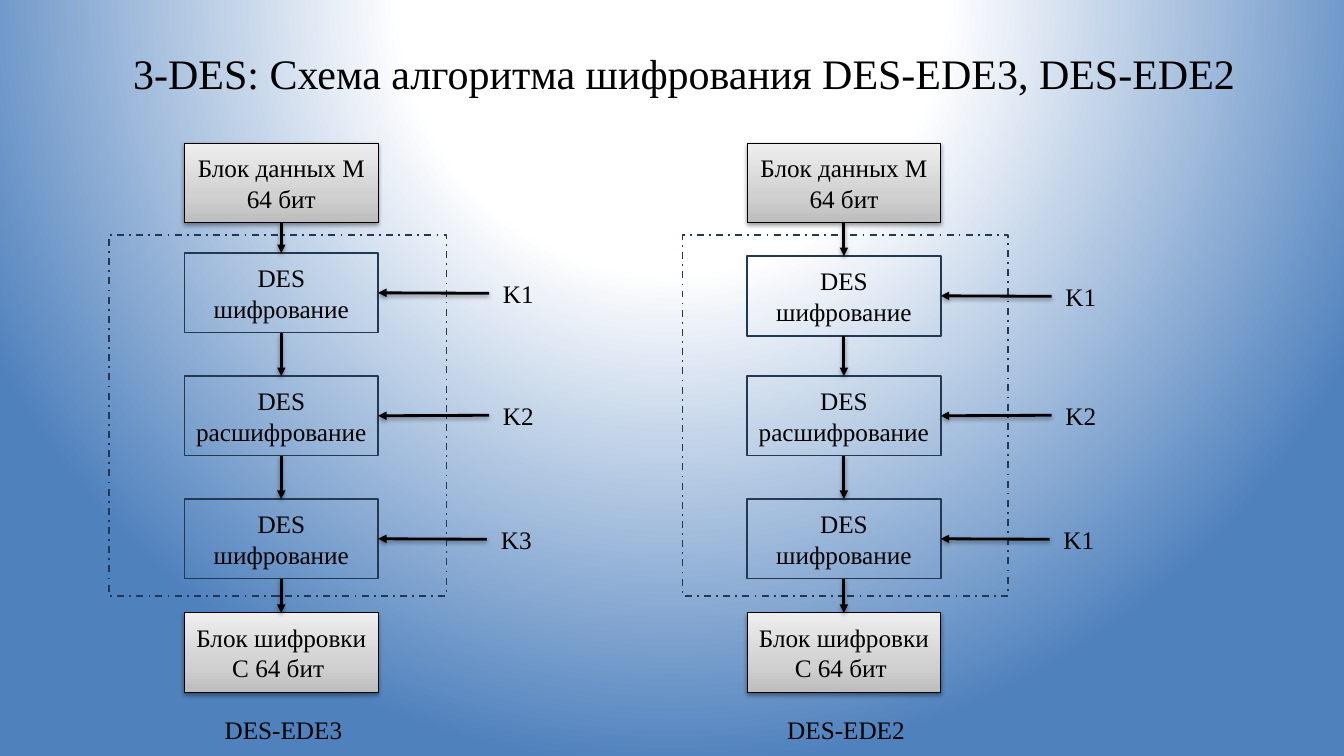
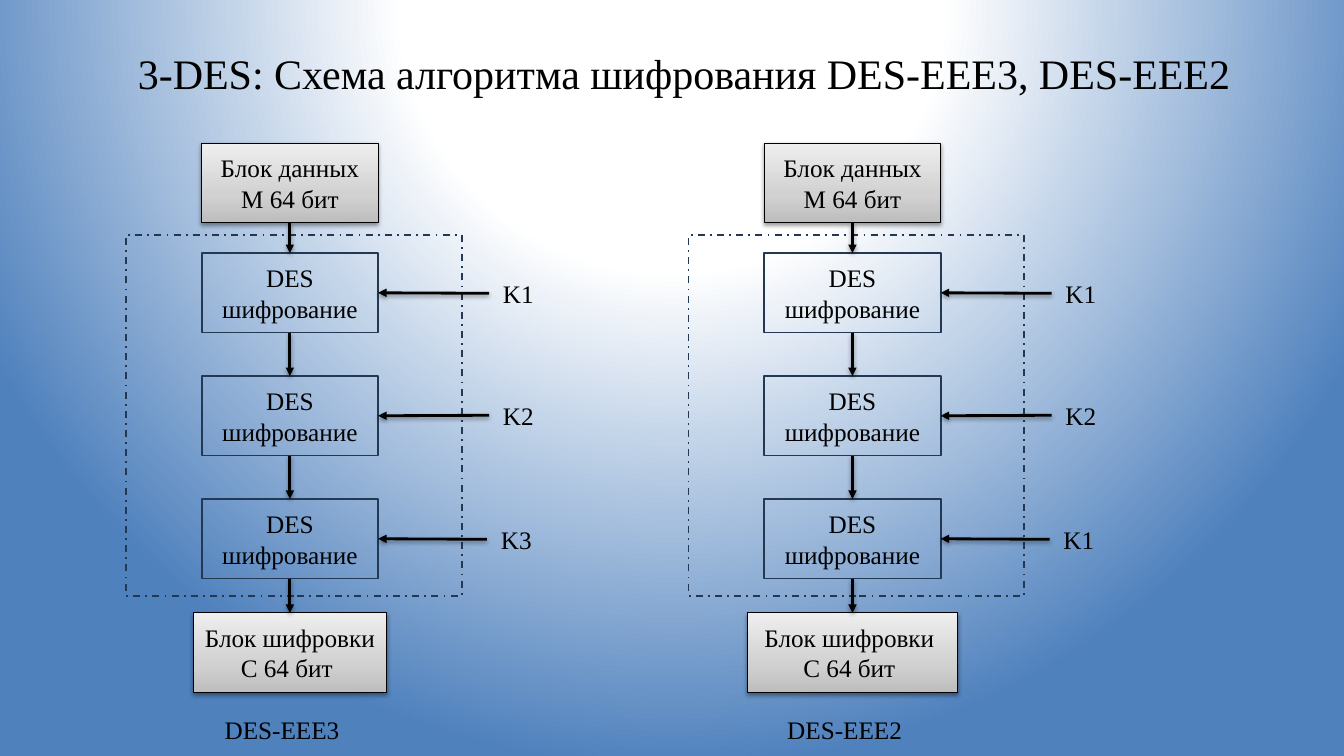
"""Build two slides that compare the triple DES encryption schemes."""
import dataclasses
import typing

import lxml.etree
import pptx
import pptx.dml.color
import pptx.enum.dml
import pptx.enum.shapes
import pptx.enum.text
import pptx.oxml
import pptx.oxml.ns
import pptx.presentation
import pptx.shapes.autoshape
import pptx.slide
import pptx.util

Inches = pptx.util.Inches
Point = tuple[float, float]
Box = tuple[float, float, float, float]
Stops = list[tuple[int, str]]

COLORS = {
    "text": "000000",
    "outline": "233953",
    "white": "FFFFFF",
    "blue": "4F81BD",
    "gray_dark": "BDBDBD",
    "gray": "D1D1D1",
    "gray_light": "EEEEEE",
}
FONT = "Times New Roman"
BACKGROUND_STOPS = [(0, "white"), (35, "white"), (100, "blue")]
BACKGROUND_DIRECTION = (
    '<a:path path="circle">'
    '<a:fillToRect l="50000" t="-80000" r="50000" b="180000"/></a:path>'
)
DATA_STOPS = [(0, "gray_dark"), (35, "gray"), (100, "gray_light")]
DATA_DIRECTION = '<a:lin ang="16200000" scaled="0"/>'

TITLE_BOX = (0.83, 0.46, 11.92, 0.52)
TITLE_FRAME = {
    "margin_left": 0,
    "margin_top": Inches(0.01),
    "margin_right": 0,
    "margin_bottom": 0,
    "word_wrap": True,
    "auto_size": pptx.enum.text.MSO_AUTO_SIZE.SHAPE_TO_FIT_TEXT,
    "vertical_anchor": pptx.enum.text.MSO_ANCHOR.TOP,
}
BLOCK_FRAME = {
    "word_wrap": True,
    "vertical_anchor": pptx.enum.text.MSO_ANCHOR.MIDDLE,
}
LABEL_FRAME = {
    "word_wrap": True,
    "auto_size": pptx.enum.text.MSO_AUTO_SIZE.SHAPE_TO_FIT_TEXT,
}
CENTER = {"alignment": pptx.enum.text.PP_ALIGN.CENTER}
TITLE_PARAGRAPH = {**CENTER, "space_before": pptx.util.Pt(1)}

COLUMN_PITCH = 5.58
BLOCK_HEIGHT = 0.79
BLOCK_RIGHT = 3.75
INPUT_TOP = 1.42
STEP_TOP = 2.51
STEP_PITCH = 1.22
OUTPUT_TOP = 6.08
FRAME_TOP, FRAME_HEIGHT = 2.33, 3.58
KEY_PLACES = [(4.85, 2.71), (4.85, 3.92), (4.83, 5.15)]
KEY_WIDTH, LABEL_HEIGHT = 0.58, 0.4
CAPTION_BOX = (2.13, 7.04, 1.5, LABEL_HEIGHT)

INPUT_LINES = ["Блок данных М 64 бит"]
OUTPUT_LINES = ["Блок шифровки ", "С 64 бит "]
ENCRYPT = "DES шифрование"
DECRYPT = "DES расшифрование"


@dataclasses.dataclass(frozen=True)
class Scheme:
    """One column of blocks; horizontal places are relative to the column."""

    name: str
    steps: list[str]
    keys: list[str]
    block_width: float
    output_width: float
    frame_left: float
    frame_width: float
    first_step_shift: float = 0


@dataclasses.dataclass(frozen=True)
class SchemeSlide:
    """A title and the schemes below it, from left to right."""

    title: str
    schemes: list[Scheme]


EDE_STEPS = [ENCRYPT, DECRYPT, ENCRYPT]
EEE_STEPS = [ENCRYPT] * 3
THREE_KEYS = ["K1", "K2", "K3"]
TWO_KEYS = ["K1", "K2", "K1"]
SLIDES = [
    SchemeSlide("3-DES: Схема алгоритма шифрования DES-EDE3, DES-EDE2", [
        Scheme("DES-EDE3", EDE_STEPS, THREE_KEYS, 1.92, 1.92, 1.08, 3.35),
        Scheme("DES-EDE2", EDE_STEPS, TWO_KEYS, 1.92, 1.92, 1.19, 3.23, 0.03),
    ]),
    SchemeSlide("3-DES: Схема алгоритма шифрования DES-EEE3, DES-EEE2", [
        Scheme("DES-EEE3", EEE_STEPS, THREE_KEYS, 1.75, 1.92, 1.25, 3.33),
        Scheme("DES-EEE2", EEE_STEPS, TWO_KEYS, 1.75, 2.08, 1.25, 3.33),
    ]),
]


def color(name: str) -> pptx.dml.color.RGBColor:
    """Return a named colour."""
    return pptx.dml.color.RGBColor.from_string(COLORS[name])


def drawing(tag: str, content: str, attributes: str = "") -> lxml.etree._Element:
    """Return a DrawingML element."""
    namespace = pptx.oxml.ns.nsdecls("a")
    return pptx.oxml.parse_xml(f"<a:{tag} {namespace} {attributes}>{content}</a:{tag}>")


def apply_gradient(properties: lxml.etree._Element, stops: Stops, direction: str) -> None:
    """Put a gradient in place of an empty fill."""
    stop_list = "".join(
        f'<a:gs pos="{position * 1000}"><a:srgbClr val="{COLORS[name]}"/></a:gs>'
        for position, name in stops
    )
    gradient = drawing("gradFill", f"<a:gsLst>{stop_list}</a:gsLst>{direction}", 'rotWithShape="1"')
    properties.replace(properties.find(pptx.oxml.ns.qn("a:noFill")), gradient)


def add_shadow(properties: lxml.etree._Element) -> None:
    """Add a soft shadow below a block or an arrow."""
    properties.append(drawing(
        "effectLst",
        '<a:outerShdw blurRad="40000" dist="20000" dir="5400000" rotWithShape="0">'
        f'<a:srgbClr val="{COLORS["text"]}"><a:alpha val="38000"/></a:srgbClr></a:outerShdw>',
    ))


def apply_format(target: typing.Any, values: dict[str, typing.Any]) -> None:
    """Set each attribute of a format."""
    for name, value in values.items():
        setattr(target, name, value)


def write_text(
    shape: pptx.shapes.autoshape.Shape,
    lines: list[str],
    frame_format: dict[str, typing.Any],
    paragraph_format: dict[str, typing.Any],
    size: int = 18,
) -> None:
    """Write one paragraph per line."""
    text_frame = shape.text_frame
    apply_format(text_frame, frame_format)
    text_frame.text = "\n".join(lines)
    for paragraph in text_frame.paragraphs:
        apply_format(paragraph, paragraph_format)
        for run in paragraph.runs:
            apply_format(run.font, {"name": FONT, "size": pptx.util.Pt(size)})
            run.font.color.rgb = color("text")


def add_rectangle(
    slide: pptx.slide.Slide, box: Box, line_color: str, line_width: float
) -> pptx.shapes.autoshape.Shape:
    """Add an outlined rectangle without a fill."""
    shape = slide.shapes.add_shape(
        pptx.enum.shapes.MSO_SHAPE.RECTANGLE, *map(Inches, box)
    )
    shape.fill.background()
    shape.line.color.rgb = color(line_color)
    shape.line.width = pptx.util.Pt(line_width)
    return shape


def add_data_block(slide: pptx.slide.Slide, box: Box, lines: list[str]) -> None:
    """Add a gray block for input or output data."""
    shape = add_rectangle(slide, box, "text", 0.75)
    apply_gradient(shape.element.spPr, DATA_STOPS, DATA_DIRECTION)
    add_shadow(shape.element.spPr)
    write_text(shape, lines, BLOCK_FRAME, CENTER)


def add_step(slide: pptx.slide.Slide, box: Box, text: str) -> None:
    """Add a block for one pass of the cipher."""
    shape = add_rectangle(slide, box, "outline", 1.25)
    shape.shadow.inherit = False
    write_text(shape, [text], BLOCK_FRAME, CENTER)


def add_frame(slide: pptx.slide.Slide, box: Box) -> None:
    """Add the dashed frame around the steps."""
    shape = add_rectangle(slide, box, "outline", 1.25)
    shape.shadow.inherit = False
    shape.line.dash_style = pptx.enum.dml.MSO_LINE.DASH_DOT


def add_label(
    slide: pptx.slide.Slide, box: Box, text: str, paragraph_format: dict[str, typing.Any]
) -> None:
    """Add a line of plain text."""
    shape = slide.shapes.add_textbox(*map(Inches, box))
    write_text(shape, [text], LABEL_FRAME, paragraph_format)


def add_arrow(slide: pptx.slide.Slide, start: Point, end: Point) -> None:
    """Add a straight arrow."""
    connector = slide.shapes.add_connector(
        pptx.enum.shapes.MSO_CONNECTOR.STRAIGHT, *map(Inches, start + end)
    )
    connector.line.color.rgb = color("text")
    connector.line.width = pptx.util.Pt(2)
    properties = connector.element.spPr
    properties.find(pptx.oxml.ns.qn("a:ln")).append(drawing("tailEnd", "", 'type="triangle"'))
    add_shadow(properties)


def add_scheme(slide: pptx.slide.Slide, scheme: Scheme, offset: float) -> None:
    """Draw one scheme with its keys and caption."""
    right = offset + BLOCK_RIGHT
    left = right - scheme.block_width
    center = right - scheme.block_width / 2
    step_tops = [STEP_TOP + index * STEP_PITCH for index in range(len(scheme.steps))]
    step_tops[0] += scheme.first_step_shift
    tops = [INPUT_TOP, *step_tops, OUTPUT_TOP]

    add_data_block(slide, (left, INPUT_TOP, scheme.block_width, BLOCK_HEIGHT), INPUT_LINES)
    for top, text in zip(step_tops, scheme.steps):
        add_step(slide, (left, top, scheme.block_width, BLOCK_HEIGHT), text)
    output_left = center - scheme.output_width / 2
    add_data_block(
        slide, (output_left, OUTPUT_TOP, scheme.output_width, BLOCK_HEIGHT), OUTPUT_LINES
    )
    add_frame(
        slide, (offset + scheme.frame_left, FRAME_TOP, scheme.frame_width, FRAME_HEIGHT)
    )

    for upper, lower in zip(tops, tops[1:]):
        add_arrow(slide, (center, upper + BLOCK_HEIGHT), (center, lower))
    shifts = [scheme.first_step_shift, 0, 0]
    for key, (key_left, key_top), shift, top in zip(scheme.keys, KEY_PLACES, shifts, step_tops):
        x, y = offset + key_left, key_top + shift
        add_label(slide, (x, y, KEY_WIDTH, LABEL_HEIGHT), key, CENTER)
        add_arrow(slide, (x, y + LABEL_HEIGHT / 2), (right, top + BLOCK_HEIGHT / 2))
    caption_left, *caption_rest = CAPTION_BOX
    add_label(slide, (offset + caption_left, *caption_rest), scheme.name, {})


def prepare_layout(presentation: pptx.presentation.Presentation) -> pptx.slide.SlideLayout:
    """Set the shared background and title place."""
    master = presentation.slide_master
    master.background.fill.background()
    properties = master.element.find(".//" + pptx.oxml.ns.qn("p:bgPr"))
    apply_gradient(properties, BACKGROUND_STOPS, BACKGROUND_DIRECTION)
    layout = presentation.slide_layouts.get_by_name("Title Only")
    places = zip(("left", "top", "width", "height"), map(Inches, TITLE_BOX))
    apply_format(layout.placeholders[0], dict(places))
    return layout


def main() -> None:
    """Build and save the presentation."""
    presentation = pptx.Presentation()
    presentation.slide_width = Inches(13.33)
    presentation.slide_height = Inches(7.5)
    layout = prepare_layout(presentation)
    for content in SLIDES:
        slide = presentation.slides.add_slide(layout)
        write_text(slide.shapes.title, [content.title], TITLE_FRAME, TITLE_PARAGRAPH, 30)
        for column, scheme in enumerate(content.schemes):
            add_scheme(slide, scheme, column * COLUMN_PITCH)
    presentation.save("out.pptx")


if __name__ == "__main__":
    main()
